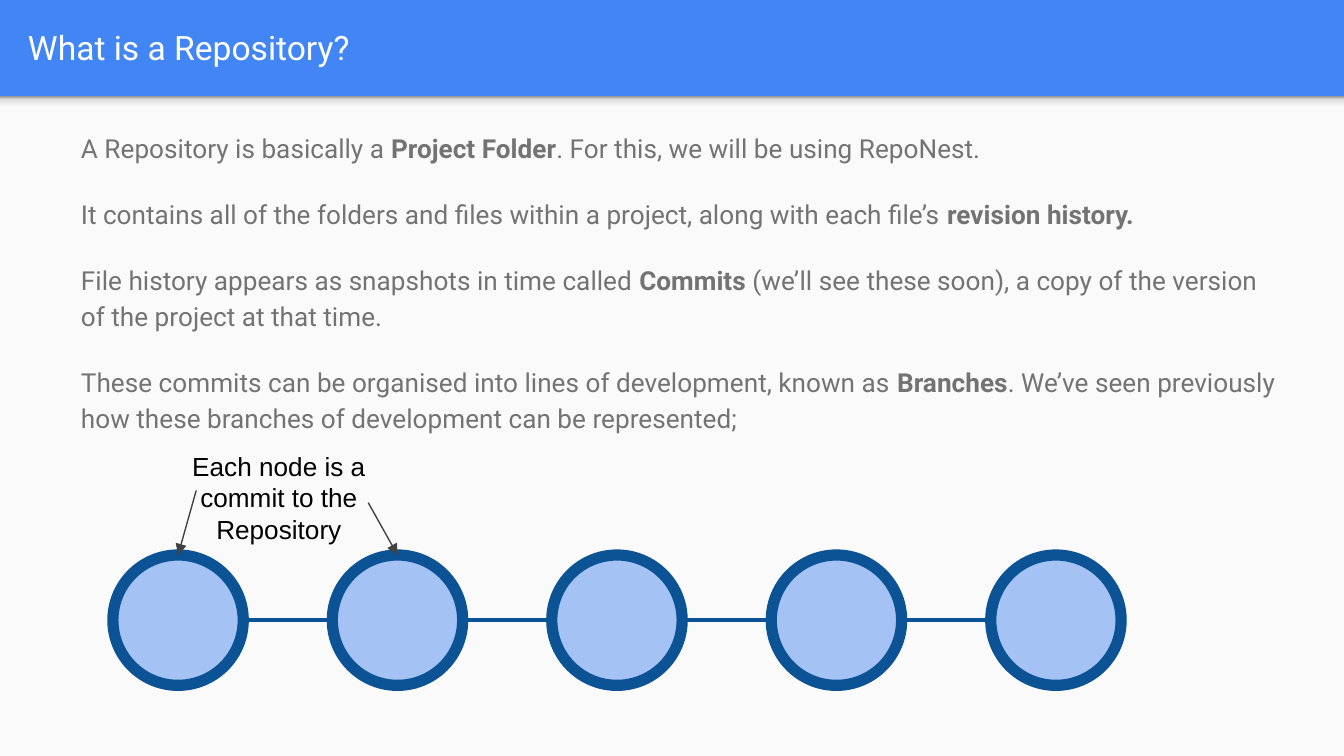
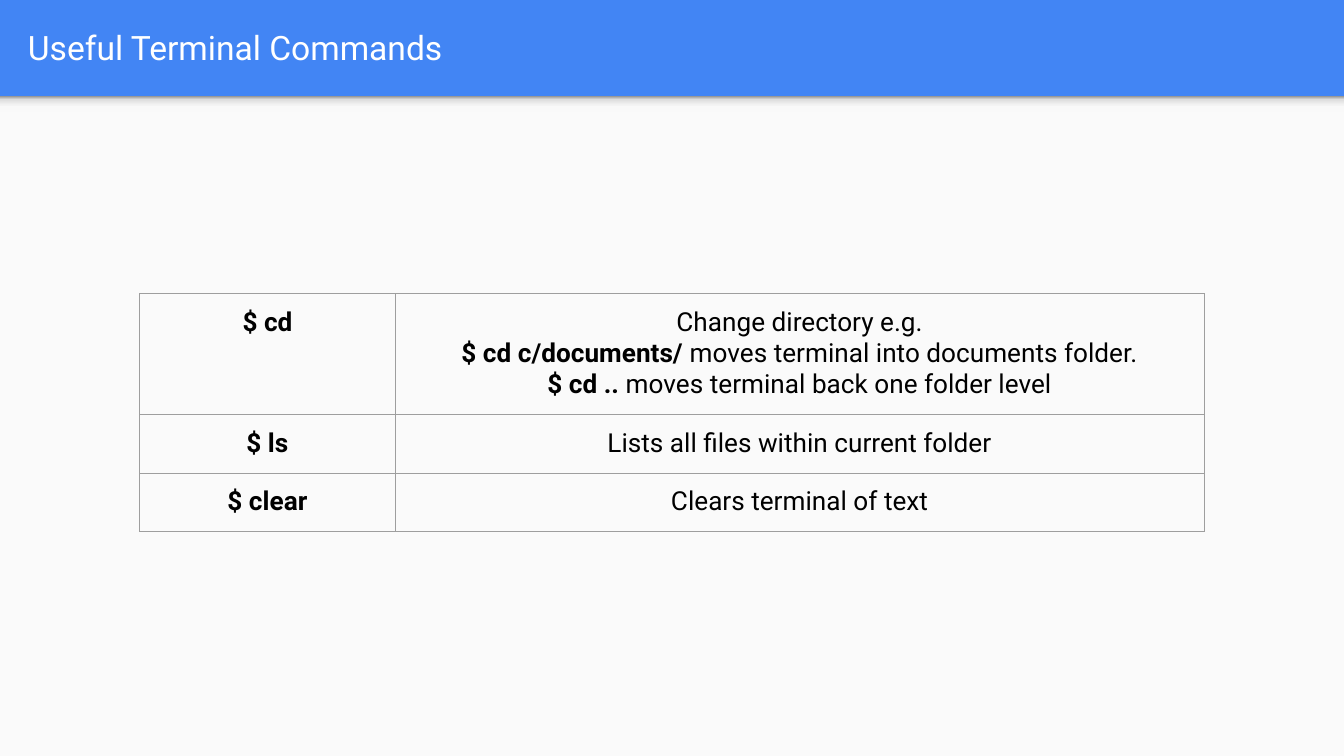
from lxml import etree
from pptx import Presentation
from pptx.dml.color import RGBColor
from pptx.enum.shapes import MSO_CONNECTOR as CXN, MSO_SHAPE as SHAPE
from pptx.enum.text import MSO_ANCHOR as ANCHOR, PP_ALIGN as ALIGN
from pptx.oxml import parse_xml
from pptx.oxml.ns import nsdecls, qn
from pptx.util import Emu, Inches, Pt

WIDTH, HEIGHT = Inches(10), Inches(5.625)
COLS, ROWS = 100, 56.25
BLUE, PAPER, WHITE, BLACK = "4285F4", "FAFAFA", "FFFFFF", "000000"
GREY, DARK, NAVY, SKY, RULE = "737373", "424242", "0B5394", "A4C2F4", "9E9E9E"
BAND = 7.17
SHADOW = [(0, "F9F9F9"), (36, "F9F9F9"), (80, "DEDEDE"), (100, "999999")]
INSETS = dict.fromkeys(
    ("margin_left", "margin_right", "margin_top", "margin_bottom"), Inches(0.1))

TITLE_FONT = {"name": "Roboto", "size": Pt(18), "color": WHITE}
BODY_FONT = {"name": "Roboto", "size": Pt(14), "color": GREY}
NOTE_FONT = {"name": "Arial", "size": Pt(14), "color": BLACK}
CELL_FONT = {"name": "Roboto", "size": Pt(14), "color": BLACK}
BODY_PARA = {"line_spacing": 1.15, "space_before": Pt(16)}
CENTRED = {"alignment": ALIGN.CENTER}

NODES, NODE_SIZE, NODE_STEP = 5, 9.7, 16.33
NODE_LEFT, NODE_TOP = 8.4, 41.3

REPOSITORY = [
    "A Repository is basically a **Project Folder**. For this, we will be using RepoNest.",
    "It contains all of the folders and files within a project, along with each "
    "file’s **revision history.**",
    "File history appears as snapshots in time called **Commits** (we’ll see these "
    "soon), a copy of the version of the project at that time.",
    "These commits can be organised into lines of development, known as **Branches**. "
    "We’ve seen previously how these branches of development can be represented;",
]
COMMANDS = [
    (["**$ cd**"], ["Change directory e.g.",
                    "**$ cd c/documents/ **moves terminal into documents folder.",
                    "**$ cd ..** moves terminal back one folder level"]),
    (["**$ ls**"], ["Lists all files within current folder"]),
    (["**$ clear**"], ["Clears terminal of text"]),
]


def rgb(value):
    """Turn a hex string into a colour."""
    return RGBColor.from_string(value)


def grid(*cells):
    """Turn counts of square grid cells into slide lengths."""
    return [Emu(round(WIDTH * n / COLS)) for n in cells]


def apply(target, formats):
    """Set every attribute in a dict of format values."""
    for name, value in formats.items():
        setattr(target, name, value)


def write(tf, paragraphs, font, para):
    """Fill a text frame, with bold between double asterisks."""
    for i, text in enumerate(paragraphs):
        p = tf.add_paragraph() if i else tf.paragraphs[0]
        apply(p, para)
        if i == 0:
            p.space_before = Pt(0)
        for j, part in enumerate(text.split("**")):
            if part:
                r = p.add_run()
                r.text = part
                apply(r.font, {"name": font["name"], "size": font["size"],
                               "bold": j % 2 == 1})
                r.font.color.rgb = rgb(font["color"])


def add_text(s, box, paragraphs, font, para, anchor=ANCHOR.TOP):
    """Add a wrapping text box."""
    tf = s.shapes.add_textbox(*grid(*box)).text_frame
    apply(tf, {"word_wrap": True, "vertical_anchor": anchor, **INSETS})
    write(tf, paragraphs, font, para)


def add_block(s, kind, box, fill, line=None, width=0):
    """Add a flat shape with an optional outline."""
    sp = s.shapes.add_shape(kind, *grid(*box))
    sp.shadow.inherit = False
    sp.fill.solid()
    sp.fill.fore_color.rgb = rgb(fill)
    if line:
        sp.line.color.rgb = rgb(line)
        sp.line.width = Pt(width)
    else:
        sp.line.fill.background()
    return sp


def add_line(s, start, end, color, width, arrow=False):
    """Add a straight connector, with a triangle head if asked."""
    c = s.shapes.add_connector(CXN.STRAIGHT, *grid(*start, *end))
    c.line.color.rgb = rgb(color)
    c.line.width = Pt(width)
    if arrow:
        ln = c._element.spPr.find(qn("a:ln"))
        etree.SubElement(ln, qn("a:tailEnd"), type="triangle")
    etree.SubElement(c._element.spPr, qn("a:effectLst"))


def add_shadow(s):
    """Add the soft gradient strip under the title band."""
    sp = add_block(s, SHAPE.RECTANGLE, (0, BAND, COLS, 1.2), PAPER)
    sp.fill.gradient()
    sp.fill.gradient_angle = 90
    stops = sp._element.spPr.find(".//" + qn("a:gsLst"))
    stops.clear()
    for share, color in SHADOW:
        stop = etree.SubElement(stops, qn("a:gs"), pos=str(share * 1000))
        etree.SubElement(stop, qn("a:srgbClr"), val=color)


def add_slide(prs, title):
    """Add a slide with the shared paper, shadow and title."""
    s = prs.slides.add_slide(prs.slide_layouts[6])
    add_block(s, SHAPE.RECTANGLE, (0, BAND, COLS, ROWS - BAND), PAPER)
    add_shadow(s)
    add_text(s, (1.1, 0.2, 96.5, 6.6), [title], TITLE_FONT, {}, ANCHOR.MIDDLE)
    return s


def add_commits(s):
    """Draw the row of commit nodes and the lines between them."""
    middle = NODE_TOP + NODE_SIZE / 2
    lefts = [NODE_LEFT + i * NODE_STEP for i in range(NODES)]
    for left in lefts:
        add_block(s, SHAPE.OVAL, (left, NODE_TOP, NODE_SIZE, NODE_SIZE), SKY, NAVY, 6)
    for left, following in zip(lefts, lefts[1:]):
        add_line(s, (left + NODE_SIZE, middle), (following, middle), NAVY, 2.25)
    add_text(s, (12.5, 32.5, 16.5, 6.6),
             ["Each node is a commit to the Repository"], NOTE_FONT, CENTRED)
    for start, left in zip([(14.6, 36.5), (27.4, 37.4)], lefts):
        add_line(s, start, (left + NODE_SIZE / 2, NODE_TOP), DARK, 0.75, True)


def style_cell(cell):
    """Clear the fill of a cell and rule its four sides."""
    cell.fill.background()
    apply(cell, INSETS)
    for i, side in enumerate(("lnL", "lnR", "lnT", "lnB")):
        cell._tc.get_or_add_tcPr().insert(i, parse_xml(
            f'<a:{side} {nsdecls("a")} w="{Pt(0.75)}"><a:solidFill>'
            f'<a:srgbClr val="{RULE}"/></a:solidFill></a:{side}>'))


def add_table(s, left, top, widths, heights, rows):
    """Add a plain ruled table with centred text."""
    box = grid(left, top, sum(widths), sum(heights))
    table = s.shapes.add_table(len(rows), len(widths), *box).table
    apply(table, {"first_row": False, "horz_banding": False})
    for column, width in zip(table.columns, grid(*widths)):
        column.width = width
    for row, height, texts in zip(table.rows, grid(*heights), rows):
        row.height = height
        for cell, paragraphs in zip(row.cells, texts):
            style_cell(cell)
            write(cell.text_frame, paragraphs, CELL_FONT, CENTRED)


def main():
    """Build and save the two slides."""
    prs = Presentation()
    apply(prs, {"slide_width": WIDTH, "slide_height": HEIGHT})
    background = prs.slide_master.background.fill
    background.solid()
    background.fore_color.rgb = rgb(BLUE)

    s = add_slide(prs, "What is a Repository?")
    add_text(s, (5.04, 8.5, 91.5, 29.6), REPOSITORY, BODY_FONT, BODY_PARA)
    add_commits(s)

    s = add_slide(prs, "Useful Terminal Commands")
    add_table(s, 10.4, 21.86, (19, 60.2), (8.8, 4.3, 4.3), COMMANDS)

    prs.save("out.pptx")


if __name__ == "__main__":
    main()
